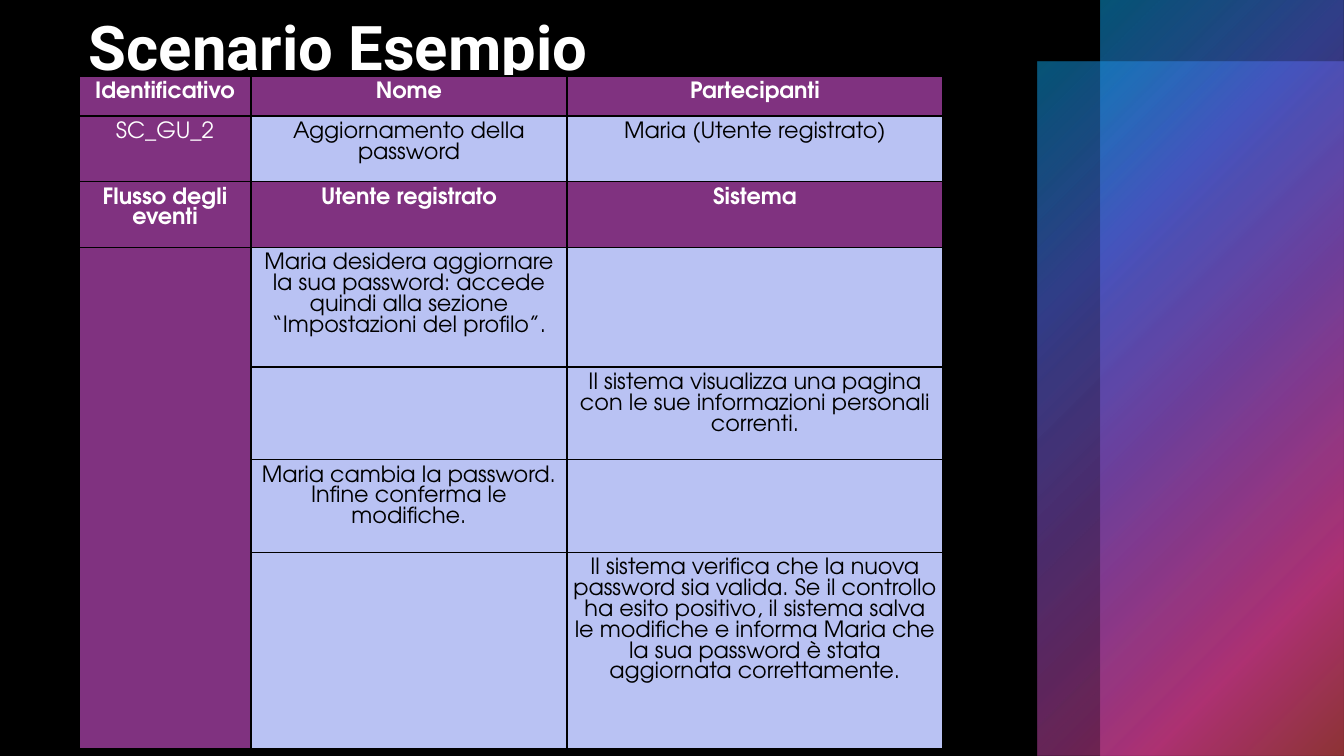
"""Build the example scenario slide: a title, a flow table and two gradient panels."""
from dataclasses import dataclass

from lxml.etree import SubElement
from pptx import Presentation
from pptx.dml.color import RGBColor
from pptx.enum.shapes import MSO_SHAPE
from pptx.enum.text import PP_ALIGN
from pptx.oxml.ns import qn
from pptx.util import Pt

EMU_PER_PX = 914400 / 100.8
PURPLE, LILAC, WHITE, BLACK = "803280", "B9C2F3", "FFFFFF", "000000"
BODY_FONT = "TeX Gyre Adventor"
COLUMN_WIDTHS = (172, 316, 376)
ROW_HEIGHTS = (40, 65, 64, 118, 91, 91, 196)
FLOW_START = 3


@dataclass(frozen=True)
class Panel:
    left: int
    top: int
    width: int
    height: int
    middle: int


@dataclass(frozen=True)
class Entry:
    text: str = ""
    fill: str = LILAC
    color: str = BLACK
    bold: bool = False
    space_after: int = 0


def heading(text: str) -> Entry:
    return Entry(text, PURPLE, WHITE, True)


def step(text: str) -> Entry:
    return Entry(text, space_after=12)


PANELS = (Panel(1038, 62, 306, 694, 50), Panel(1101, 0, 243, 756, 49))
EMPTY, SIDE = Entry(), Entry(fill=PURPLE)
ROWS = (
    (heading("Identificativo"), heading("Nome"), heading("Partecipanti")),
    (Entry("SC_GU_2", PURPLE, WHITE), Entry("Aggiornamento della password"),
     Entry("Maria (Utente registrato)")),
    (heading("Flusso degli eventi"), heading("Utente registrato"), heading("Sistema")),
    (SIDE, step("Maria desidera aggiornare la sua password: accede quindi alla "
                "sezione “Impostazioni del profilo”."), EMPTY),
    (SIDE, EMPTY, Entry("Il sistema visualizza una pagina con le sue informazioni "
                        "personali correnti.")),
    (SIDE, step("Maria cambia la password. Infine conferma le modifiche."), EMPTY),
    (SIDE, EMPTY, step("Il sistema verifica che la nuova password sia valida. Se il "
                       "controllo ha esito positivo, il sistema salva le modifiche e "
                       "informa Maria che la sua password è stata aggiornata "
                       "correttamente.")),
)


def px(length: int) -> int:
    return round(length * EMU_PER_PX)


def rgb(color: str) -> RGBColor:
    return RGBColor.from_string(color)


def apply(target, formats: dict) -> None:
    for name, value in formats.items():
        setattr(target, name, value)


def write(para, text: str, font: str, size: int, color: str, bold: bool) -> None:
    span = para.add_run()
    span.text = text
    apply(span.font, {"name": font, "size": Pt(size), "bold": bold})
    span.font.color.rgb = rgb(color)


def add_panel(page, panel: Panel) -> None:
    shape = page.shapes.add_shape(MSO_SHAPE.RECTANGLE, px(panel.left), px(panel.top),
                                  px(panel.width), px(panel.height))
    shape.shadow.inherit = False
    shape.line.fill.background()
    gradient = shape._element.spPr.makeelement(qn("a:gradFill"), {"rotWithShape": "1"})
    shape._element.spPr.find(qn("a:prstGeom")).addnext(gradient)
    stops = SubElement(gradient, qn("a:gsLst"))
    for position, color, alpha in ((0, "0BA5E8", 50), (25, "5066E1", 60),
                                   (panel.middle, "894EC0", 55),
                                   (81, "E54196", 50), (99, "BE4449", 50)):
        stop = SubElement(stops, qn("a:gs"), pos=str(position * 1000))
        tint = SubElement(stop, qn("a:srgbClr"), val=color)
        SubElement(tint, qn("a:alpha"), val=str(alpha * 1000))
    circle = SubElement(gradient, qn("a:path"), {"path": "circle"})
    SubElement(circle, qn("a:fillToRect"), r="100000", b="100000")


def add_title(page) -> None:
    box = page.shapes.add_textbox(px(79), 0, px(864), px(76))
    apply(box.text_frame, {"word_wrap": True, "margin_top": px(9), "margin_bottom": 0})
    write(box.text_frame.paragraphs[0], "Scenario Esempio", "Roboto", 44, WHITE, True)


def add_borders(cell) -> None:
    properties = cell._tc.get_or_add_tcPr()
    for index, side in enumerate(("lnL", "lnR", "lnT", "lnB")):
        line = properties.makeelement(qn(f"a:{side}"), {"w": str(Pt(1))})
        properties.insert(index, line)
        solid = SubElement(line, qn("a:solidFill"))
        SubElement(solid, qn("a:srgbClr"), val=BLACK)


def fill_cell(cell, entry: Entry) -> None:
    apply(cell, {f"margin_{side}": px(6) for side in ("left", "right", "top", "bottom")})
    cell.fill.solid()
    cell.fill.fore_color.rgb = rgb(entry.fill)
    add_borders(cell)
    if entry.text:
        para = cell.text_frame.paragraphs[0]
        apply(para, {"alignment": PP_ALIGN.CENTER, "space_after": Pt(entry.space_after)})
        write(para, entry.text, BODY_FONT, 16, entry.color, entry.bold)


def add_scenario(page) -> None:
    frame = page.shapes.add_table(len(ROWS), len(COLUMN_WIDTHS), px(79), px(76),
                                  px(sum(COLUMN_WIDTHS)), px(sum(ROW_HEIGHTS)))
    table = frame.table
    apply(table, {"first_row": False, "horz_banding": False})
    for column, width in zip(table.columns, COLUMN_WIDTHS):
        column.width = px(width)
    for row, height, entries in zip(table.rows, ROW_HEIGHTS, ROWS):
        row.height = px(height)
        for cell, entry in zip(row.cells, entries):
            fill_cell(cell, entry)
    table.cell(FLOW_START, 0).merge(table.cell(len(ROWS) - 1, 0))


def main() -> None:
    deck = Presentation()
    apply(deck, {"slide_width": px(1344), "slide_height": px(756)})
    page = deck.slides.add_slide(deck.slide_layouts[6])
    page.background.fill.solid()
    page.background.fill.fore_color.rgb = rgb(BLACK)
    for panel in PANELS:
        add_panel(page, panel)
    add_title(page)
    add_scenario(page)
    deck.save("out.pptx")


if __name__ == "__main__":
    main()
